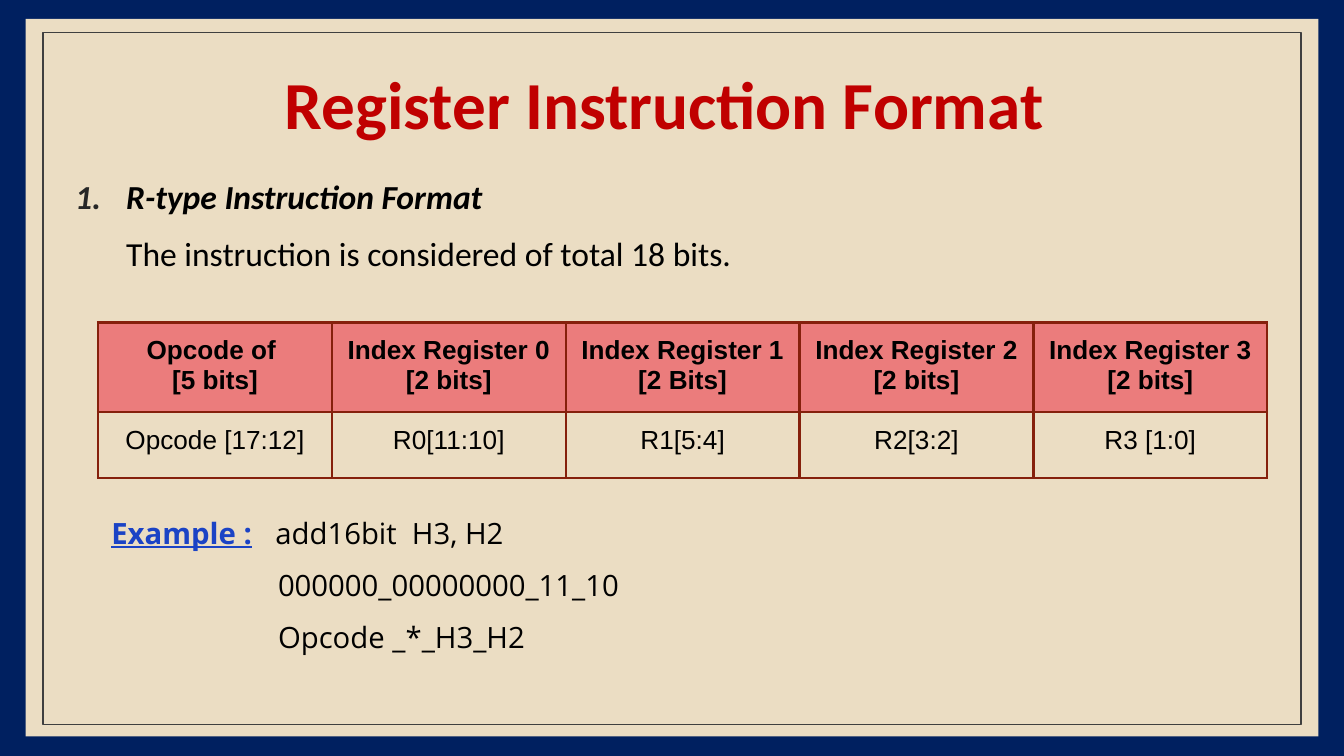
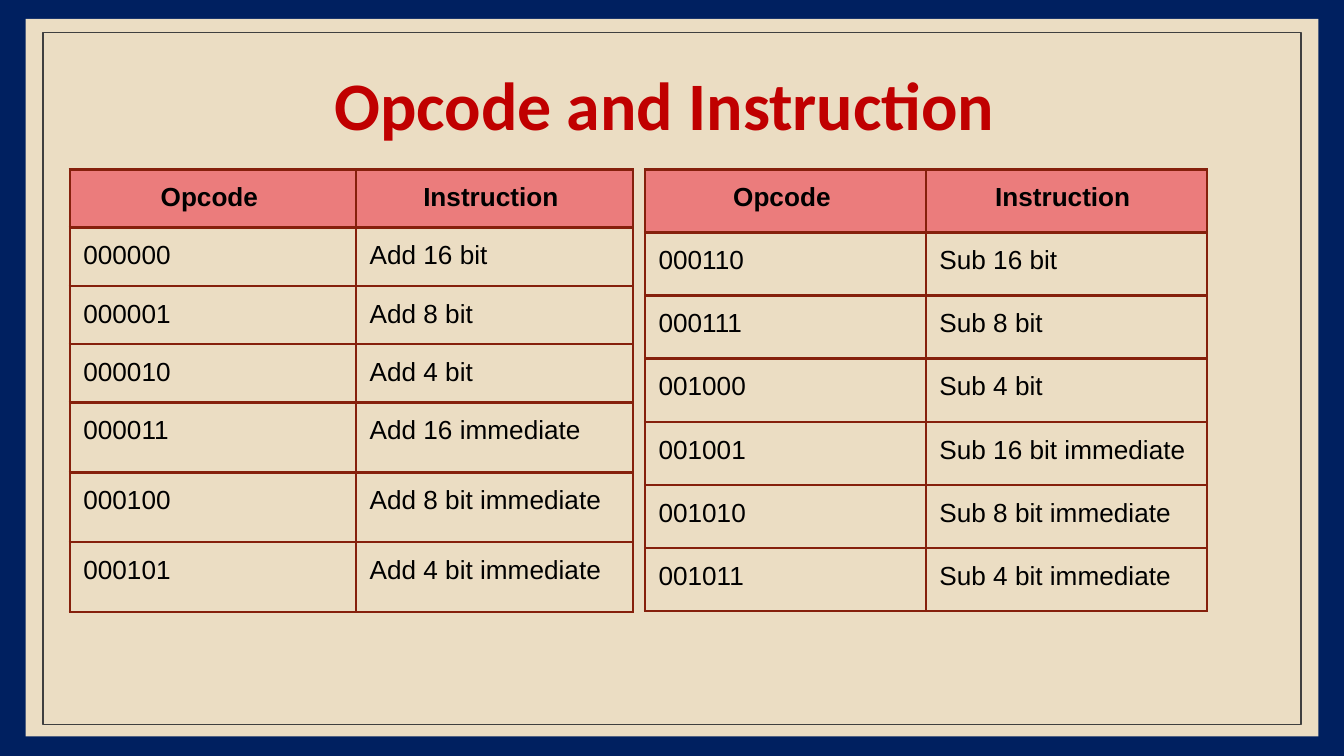
import dataclasses
import pptx
import pptx.util
import pptx.dml.color
import pptx.enum.shapes
import pptx.enum.text
import pptx.oxml.ns
import lxml.etree

Inches = pptx.util.Inches
Pt = pptx.util.Pt
RGB = pptx.dml.color.RGBColor.from_string
qn = pptx.oxml.ns.qn
CENTER = pptx.enum.text.PP_ALIGN.CENTER


@dataclasses.dataclass(frozen=True)
class Theme:
    navy: str = "002060"
    paper: str = "EBDDC3"
    frame: str = "3F3F3F"
    title: str = "C00000"
    ink: str = "000000"
    number: str = "262626"
    label: str = "1B43C5"
    header: str = "EB7C7C"
    border: str = "85200C"
    format_title_size: float = 36
    opcode_title_size: float = 36.4
    body_size: float = 18
    example_size: float = 15.7
    cell_size: float = 14


theme = Theme()


def write(p, text, size=theme.body_size, font="Calibri", color=theme.ink,
          bold=False, italic=False, underline=False, align=None):
    if align is not None:
        p.alignment = align
    r = p.add_run()
    r.text = text
    r.font.size = Pt(size)
    r.font.name = font
    r.font.color.rgb = RGB(color)
    r.font.bold = bold
    r.font.italic = italic
    r.font.underline = underline


def add_grid(s, left, top, height, widths, heights, rows, body_align=None):
    shape = s.shapes.add_table(len(rows), len(widths), Inches(left), Inches(top),
                               Inches(sum(widths)), Inches(height))
    table = shape.table
    table.first_row = False
    table.horz_banding = False
    for column, width in zip(table.columns, widths):
        column.width = Inches(width)
    for i, (row, row_height) in enumerate(zip(rows, heights)):
        table.rows[i].height = Inches(row_height)
        for j, text in enumerate(row):
            cell = table.cell(i, j)
            cell.margin_left = cell.margin_right = Inches(0.1)
            cell.margin_top = cell.margin_bottom = Inches(0.1)
            tcPr = cell._tc.get_or_add_tcPr()
            for side in ("a:lnL", "a:lnR", "a:lnT", "a:lnB"):
                ln = lxml.etree.SubElement(tcPr, qn(side), w=str(Pt(1.5)))
                fill = lxml.etree.SubElement(ln, qn("a:solidFill"))
                lxml.etree.SubElement(fill, qn("a:srgbClr"), val=theme.border)
            if i == 0:
                cell.fill.solid()
                cell.fill.fore_color.rgb = RGB(theme.header)
            else:
                cell.fill.background()
            tf = cell.text_frame
            for k, line in enumerate(text.split("\n")):
                p = tf.add_paragraph() if k else tf.paragraphs[0]
                write(p, line, size=theme.cell_size, font="Arial", bold=i == 0,
                      align=CENTER if i == 0 else body_align)
    shape.height = Inches(height)


prs = pptx.Presentation()
prs.slide_width = Inches(10)
prs.slide_height = Inches(10 * 9 / 16)

slides = []
for title, size in (("Register Instruction Format ", theme.format_title_size),
                    ("Opcode and Instruction ", theme.opcode_title_size)):
    s = prs.slides.add_slide(prs.slide_layouts[6])
    s.background.fill.solid()
    s.background.fill.fore_color.rgb = RGB(theme.navy)
    rect = pptx.enum.shapes.MSO_SHAPE.RECTANGLE
    paper = s.shapes.add_shape(rect, Inches(0.19), Inches(0.14), Inches(9.62), Inches(5.34))
    paper.shadow.inherit = False
    paper.fill.solid()
    paper.fill.fore_color.rgb = RGB(theme.paper)
    paper.line.fill.background()
    frame = s.shapes.add_shape(rect, Inches(0.32), Inches(0.24), Inches(9.36), Inches(5.15))
    frame.shadow.inherit = False
    frame.fill.background()
    frame.line.color.rgb = RGB(theme.frame)
    frame.line.width = Pt(0.75)
    tf = s.shapes.add_textbox(Inches(0.34), Inches(0.49), Inches(9.32), Inches(0.63)).text_frame
    tf.word_wrap = True
    tf.vertical_anchor = pptx.enum.text.MSO_ANCHOR.MIDDLE
    tf.paragraphs[0].line_spacing = 0.9
    write(tf.paragraphs[0], title, size=size, color=theme.title, bold=True, align=CENTER)
    slides.append(s)

format_slide, opcode_slide = slides

tf = format_slide.shapes.add_textbox(
    Inches(0.34), Inches(1.26), Inches(9.32), Inches(3.74)).text_frame
tf.word_wrap = True
p = tf.paragraphs[0]
pPr = p._p.get_or_add_pPr()
pPr.set("marL", str(Inches(0.5)))
pPr.set("indent", str(Inches(-0.38)))
buClr = lxml.etree.SubElement(pPr, qn("a:buClr"))
lxml.etree.SubElement(buClr, qn("a:srgbClr"), val=theme.number)
lxml.etree.SubElement(pPr, qn("a:buAutoNum"), type="arabicPeriod")
write(p, "R-type Instruction Format", bold=True, italic=True)
p = tf.add_paragraph()
p.space_before = Pt(9)
p._p.get_or_add_pPr().set("marL", str(Inches(0.5)))
write(p, "The instruction is considered of total 18 bits.")

add_grid(format_slide, 0.73, 2.4, 1.33, [1.74] * 5, [0.41, 0.49], [
    ["Opcode of \n[5 bits]", "Index Register 0\n[2 bits]", "Index Register 1\n[2 Bits]",
     "Index Register 2\n[2 bits]", "Index Register 3\n[2 bits]"],
    ["Opcode [17:12]", "R0[11:10]", "R1[5:4]", "R2[3:2]", "R3 [1:0]"],
], body_align=CENTER)

tf = format_slide.shapes.add_textbox(
    Inches(0.73), Inches(3.73), Inches(6.01), Inches(1.25)).text_frame
tf.word_wrap = True
tf.margin_left = tf.margin_right = tf.margin_top = tf.margin_bottom = Inches(0.1)
example = {"size": theme.example_size, "font": "Open Sans"}
p = tf.paragraphs[0]
tabs = lxml.etree.SubElement(p._p.get_or_add_pPr(), qn("a:tabLst"))
lxml.etree.SubElement(tabs, qn("a:tab"), pos=str(Inches(1.22)), algn="l")
write(p, "Example :", color=theme.label, bold=True, underline=True, **example)
write(p, "\tadd16bit  H3, H2", **example)
for line in ("000000_00000000_11_10", "Opcode _*_H3_H2"):
    p = tf.add_paragraph()
    p.space_before = Pt(9)
    p._p.get_or_add_pPr().set("marL", str(Inches(1.24)))
    write(p, line, **example)

opcode_tables = [
    (0.52, [2.13, 2.06], [0.38] * 2 + [0.26] * 2 + [0.52] * 3,
     ["Add 16 bit", "Add 8 bit", "Add 4 bit",
      "Add 16 immediate", "Add 8 bit immediate", "Add 4 bit immediate"]),
    (4.8, [2.09, 2.09], [0.47] * 7,
     ["Sub 16 bit", "Sub 8 bit", "Sub 4 bit",
      "Sub 16 bit immediate", "Sub 8 bit immediate", "Sub 4 bit immediate"]),
]
opcode = 0
for left, widths, heights, instructions in opcode_tables:
    rows = [["Opcode ", "Instruction "]]
    for instruction in instructions:
        rows.append([f"{opcode:06b}", instruction])
        opcode += 1
    add_grid(opcode_slide, left, 1.26, 3.28, widths, heights, rows)

prs.save("out.pptx")
